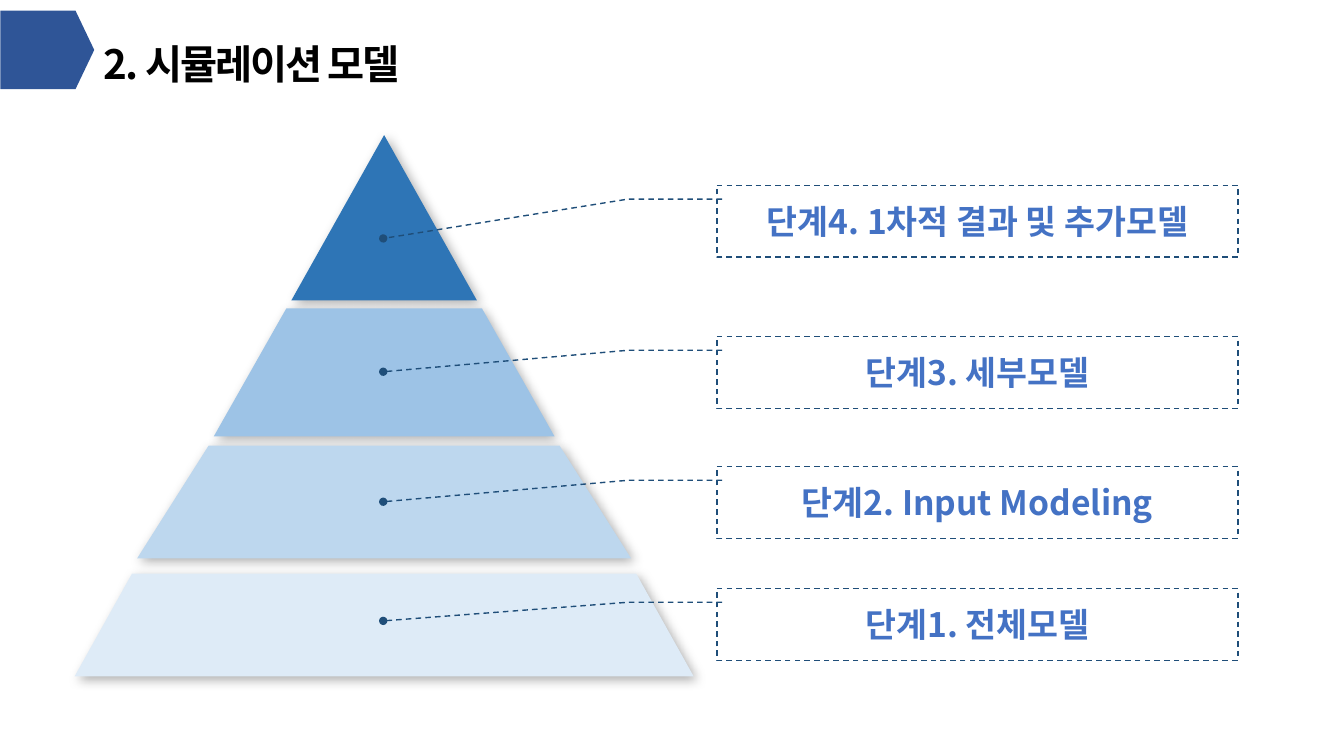
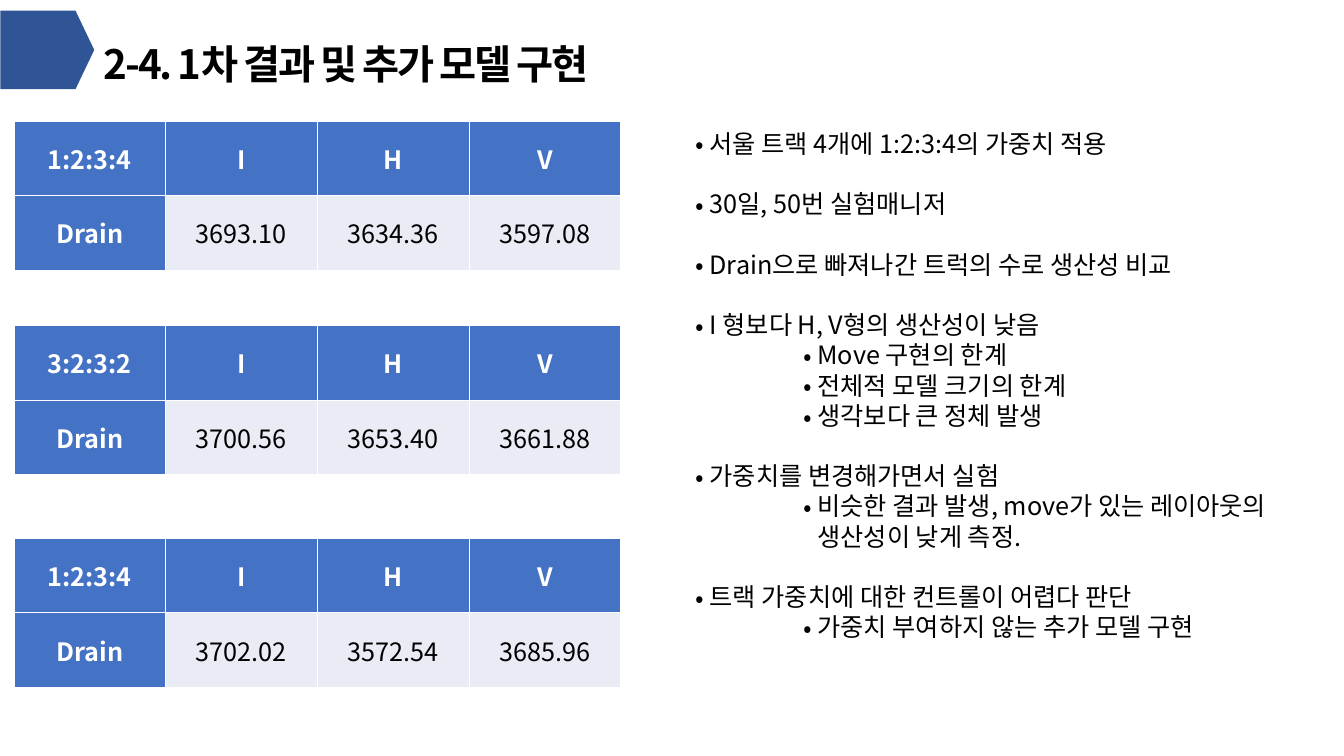
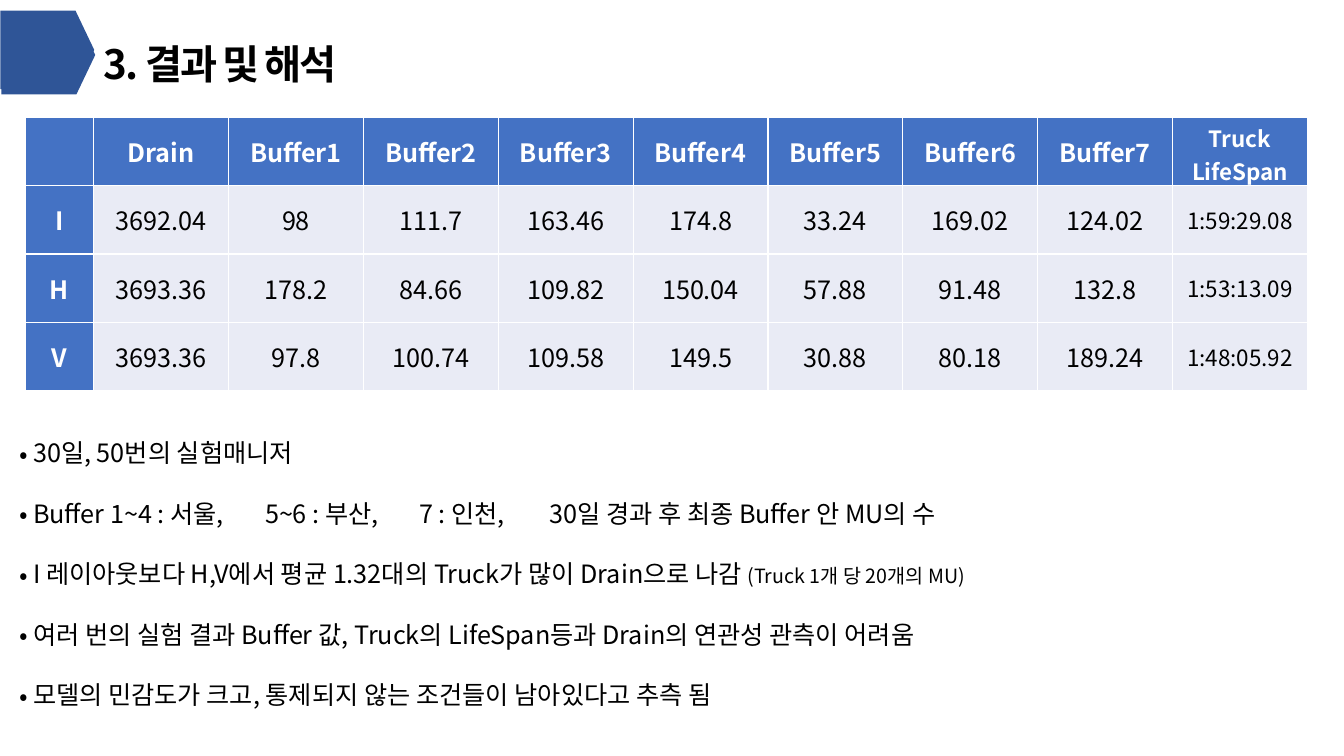
"""Build three slides on a simulation model and its results."""
from dataclasses import dataclass

from lxml.etree import SubElement
from pptx import Presentation
from pptx.dml.color import RGBColor
from pptx.enum.dml import MSO_LINE
from pptx.enum.shapes import MSO_SHAPE
from pptx.enum.text import MSO_ANCHOR, PP_ALIGN
from pptx.oxml import parse_xml
from pptx.oxml.ns import nsdecls, qn
from pptx.slide import Slide
from pptx.util import Inches, Pt

FONT = "Noto Sans CJK KR"
LINE = 21.6
HUES = {
    "badge": "2F5597", "head": "4472C4", "cell": "E9EBF5", "line": "1F4E79",
    "white": "FFFFFF", "black": "000000",
    "top": "2E75B6", "upper": "9DC3E6", "lower": "BDD7EE", "base": "DEEBF7",
}


@dataclass
class Tier:
    hue: str
    top: float
    foot: float
    roof: tuple[float, ...]
    floor: tuple[float, float]


@dataclass
class Label:
    text: str
    top: float
    dot: tuple[float, float]


@dataclass
class Item:
    text: str
    deep: bool = False
    small: str = ""
    tabs: tuple[float, ...] = ()


@dataclass
class Grid:
    left: float
    top: float
    width: float
    first: float
    row: float
    cells: list[list[str]]


TIERS = [
    Tier("top", 1.34, 2.98, (3.81,), (2.89, 4.73)),
    Tier("upper", 3.06, 4.33, (2.84, 4.78), (2.12, 5.5)),
    Tier("lower", 4.42, 5.54, (2.07, 5.55), (1.36, 6.26)),
    Tier("base", 5.69, 6.71, (1.31, 6.31), (0.74, 6.88)),
]
LABELS = [
    Label("단계4. 1차적 결과 및 추가모델", 1.84, (0.74, -0.64)),
    Label("단계3. 세부모델", 3.34, (0.49, -0.64)),
    Label("단계2. Input Modeling", 4.63, (0.49, -0.64)),
    Label("단계1. 전체모델", 5.84, (0.45, -0.64)),
]
TRIALS = [
    (1.2, "1:2:3:4", ["3693.10", "3634.36", "3597.08"]),
    (3.23, "3:2:3:2", ["3700.56", "3653.40", "3661.88"]),
    (5.34, "1:2:3:4", ["3702.02", "3572.54", "3685.96"]),
]
TOTALS = [
    ["", "Drain", *[f"Buffer{n}" for n in range(1, 8)], "Truck\nLifeSpan"],
    ["I", "3692.04", "98", "111.7", "163.46", "174.8", "33.24", "169.02",
     "124.02", "1:59:29.08"],
    ["H", "3693.36", "178.2", "84.66", "109.82", "150.04", "57.88", "91.48",
     "132.8", "1:53:13.09"],
    ["V", "3693.36", "97.8", "100.74", "109.58", "149.5", "30.88", "80.18",
     "189.24", "1:48:05.92"],
]
TRIAL_NOTES = [
    Item("서울 트랙 4개에 1:2:3:4의 가중치 적용"),
    Item("30일, 50번 실험매니저"),
    Item("Drain으로 빠져나간 트럭의 수로 생산성 비교"),
    Item("I 형보다 H, V형의 생산성이 낮음"),
    Item("Move 구현의 한계", deep=True),
    Item("전체적 모델 크기의 한계", deep=True),
    Item("생각보다 큰 정체 발생", deep=True),
    Item("가중치를 변경해가면서 실험"),
    Item("비슷한 결과 발생, move가 있는 레이아웃의\v생산성이 낮게 측정.", deep=True),
    Item("트랙 가중치에 대한 컨트롤이 어렵다 판단"),
    Item("가중치 부여하지 않는 추가 모델 구현", deep=True),
]
TOTAL_NOTES = [
    Item("30일, 50번의 실험매니저"),
    Item("Buffer 1~4 : 서울,\t5~6 : 부산,\t7 : 인천,\t"
         "30일 경과 후 최종 Buffer 안 MU의 수", tabs=(2.44, 3.97, 5.26)),
    Item("I 레이아웃보다 H,V에서 평균 1.32대의 Truck가 많이 Drain으로 나감 ",
         small="(Truck 1개 당 20개의 MU)"),
    Item("여러 번의 실험 결과 Buffer 값, Truck의 LifeSpan등과 Drain의 연관성 관측이 어려움"),
    Item("모델의 민감도가 크고, 통제되지 않는 조건들이 남아있다고 추측 됨"),
]


def tint(name: str) -> RGBColor:
    """Return a named colour."""
    return RGBColor.from_string(HUES[name])


def style(run, size: float, hue: str = "black", bold: bool = False) -> None:
    """Give a run its font, size and colour."""
    run.font.name, run.font.size, run.font.bold = FONT, Pt(size), bold
    run.font.color.rgb = tint(hue)
    SubElement(run._r.get_or_add_rPr(), qn("a:ea"), typeface=FONT)


def badge(slide: Slide, left: float, top: float) -> None:
    """Draw the blue marker that points at the title."""
    mark = slide.shapes.add_shape(
        MSO_SHAPE.FLOWCHART_OFFPAGE_CONNECTOR,
        Inches(left), Inches(top), Inches(0.78), Inches(0.93))
    mark.rotation = 270
    mark.shadow.inherit = False
    mark.fill.solid()
    mark.fill.fore_color.rgb = tint("badge")
    mark.line.fill.background()


def page(deck, title: str) -> Slide:
    """Add a slide with its marker and title."""
    slide = deck.slides.add_slide(deck.slide_layouts[6])
    badge(slide, 0.08, 0.03)
    box = slide.shapes.add_textbox(
        Inches(0.93), Inches(0.19), Inches(12), Inches(0.73))
    frame = box.text_frame
    frame.word_wrap = True
    frame.vertical_anchor = MSO_ANCHOR.BOTTOM
    frame.text = title
    para = frame.paragraphs[0]
    para.line_spacing = Pt(36)
    run = para.runs[0]
    style(run, 28.8, bold=True)
    run._r.get_or_add_rPr().set("spc", "-150")
    return slide


def layer(slide: Slide, tier: Tier) -> None:
    """Draw one tier of the pyramid with a soft shadow."""
    spots = [(x, tier.top) for x in tier.roof]
    spots += [(x, tier.foot) for x in reversed(tier.floor)]
    points = [(Inches(x), Inches(y)) for x, y in spots]
    pen = slide.shapes.build_freeform(*points[0])
    pen.add_line_segments(points[1:], close=True)
    shape = pen.convert_to_shape()
    shape.fill.solid()
    shape.fill.fore_color.rgb = tint(tier.hue)
    shape.line.fill.background()
    shape._element.spPr.append(parse_xml(
        f'<a:effectLst {nsdecls("a")}><a:outerShdw blurRad="{Pt(8)}" '
        f'dist="{Pt(3)}" dir="2700000" algn="tl" rotWithShape="0">'
        '<a:srgbClr val="000000"><a:alpha val="31000"/></a:srgbClr>'
        '</a:outerShdw></a:effectLst>'))


def callout(slide: Slide, label: Label) -> None:
    """Draw a dashed box whose leader ends in a dot."""
    box = slide.shapes.add_shape(
        MSO_SHAPE.LINE_CALLOUT_2,
        Inches(7.11), Inches(label.top), Inches(5.17), Inches(0.71))
    for spot, value in enumerate((0.19, 0.01, 0.19, -0.17, *label.dot)):
        box.adjustments[spot] = value
    box.shadow.inherit = False
    box.fill.background()
    box.line.color.rgb = tint("line")
    box.line.width = Pt(1)
    box.line.dash_style = MSO_LINE.DASH
    SubElement(box.line._get_or_add_ln(), qn("a:tailEnd"), type="oval")
    frame = box.text_frame
    frame.vertical_anchor = MSO_ANCHOR.MIDDLE
    frame.text = label.text
    frame.paragraphs[0].alignment = PP_ALIGN.CENTER
    style(frame.paragraphs[0].runs[0], 24, "head", True)


def table(slide: Slide, grid: Grid) -> None:
    """Draw a table with a blue first row and column."""
    rows, cols = len(grid.cells), len(grid.cells[0])
    made = slide.shapes.add_table(
        rows, cols, Inches(grid.left), Inches(grid.top),
        Inches(grid.width), Inches(grid.row * rows)).table
    made.first_col = True
    rest = (grid.width - grid.first) / (cols - 1)
    for col, column in enumerate(made.columns):
        column.width = Inches(rest if col else grid.first)
    for row, texts in enumerate(grid.cells):
        for col, text in enumerate(texts):
            head = row == 0 or col == 0
            cell = made.cell(row, col)
            cell.fill.solid()
            cell.fill.fore_color.rgb = tint("head" if head else "cell")
            cell.vertical_anchor = MSO_ANCHOR.MIDDLE
            cell.text_frame.text = text
            for para in cell.text_frame.paragraphs:
                para.alignment = PP_ALIGN.CENTER
                for run in para.runs:
                    style(run, 16 if col == 9 else 18,
                          "white" if head else "black", head)


def notes(slide: Slide, left: float, top: float, width: float, height: float,
          items: list[Item]) -> None:
    """Write a bulleted list on two levels."""
    frame = slide.shapes.add_textbox(
        Inches(left), Inches(top), Inches(width), Inches(height)).text_frame
    frame.word_wrap = True
    for spot, item in enumerate(items):
        para = frame.add_paragraph() if spot else frame.paragraphs[0]
        para.text = item.text
        if item.small:
            para.add_run().text = item.small
        props = para._p.get_or_add_pPr()
        props.set("marL", str(Inches(1.21 if item.deep else 0.14)))
        props.set("indent", str(Inches(-0.14)))
        SubElement(props, qn("a:buFont"), typeface=FONT)
        SubElement(props, qn("a:buChar"), char="•")
        if item.tabs:
            stops = SubElement(props, qn("a:tabLst"))
            for stop in item.tabs:
                SubElement(stops, qn("a:tab"), pos=str(Inches(stop)), algn="l")
        para.line_spacing = Pt(LINE)
        if spot and not item.deep:
            para.space_before = Pt(LINE)
        for run in para.runs:
            style(run, 14 if run.text == item.small else 18)


def main() -> None:
    """Build and save the deck."""
    deck = Presentation()
    deck.slide_width, deck.slide_height = Inches(13.33), Inches(7.5)

    model = page(deck, "2. 시뮬레이션 모델")
    for tier in TIERS:
        layer(model, tier)
    for label in LABELS:
        callout(model, label)

    trial = page(deck, "2-4. 1차 결과 및 추가 모델 구현")
    for top, ratio, drains in TRIALS:
        cells = [[ratio, "I", "H", "V"], ["Drain", *drains]]
        table(trial, Grid(0.14, top, 6.02, 1.5, 0.74, cells))
    notes(trial, 6.8, 1.22, 6.4, 5.86, TRIAL_NOTES)

    total = page(deck, "3. 결과 및 해석")
    badge(total, 0.09, 0.08)
    table(total, Grid(0.25, 1.16, 12.72, 0.68, 0.68, TOTALS))
    notes(total, 0.09, 4.29, 12.72, 2.83, TOTAL_NOTES)

    deck.save("out.pptx")


if __name__ == "__main__":
    main()
